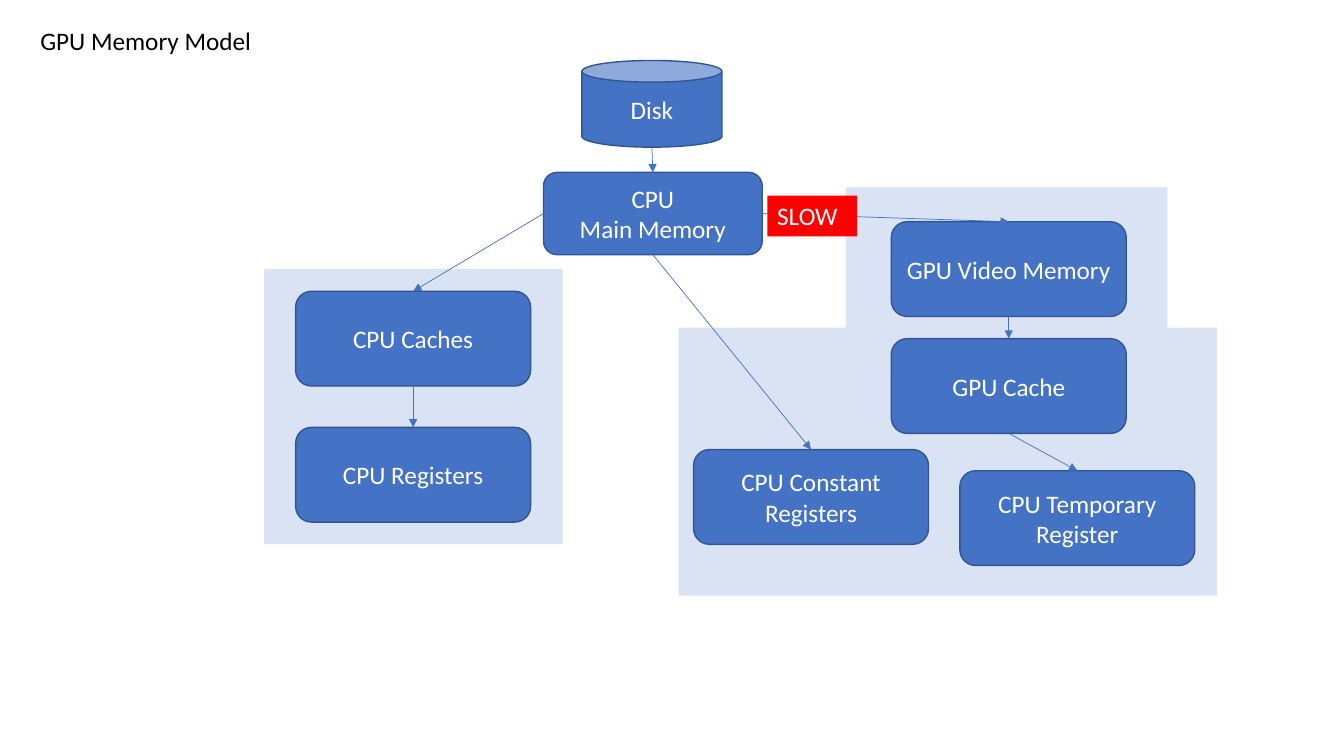
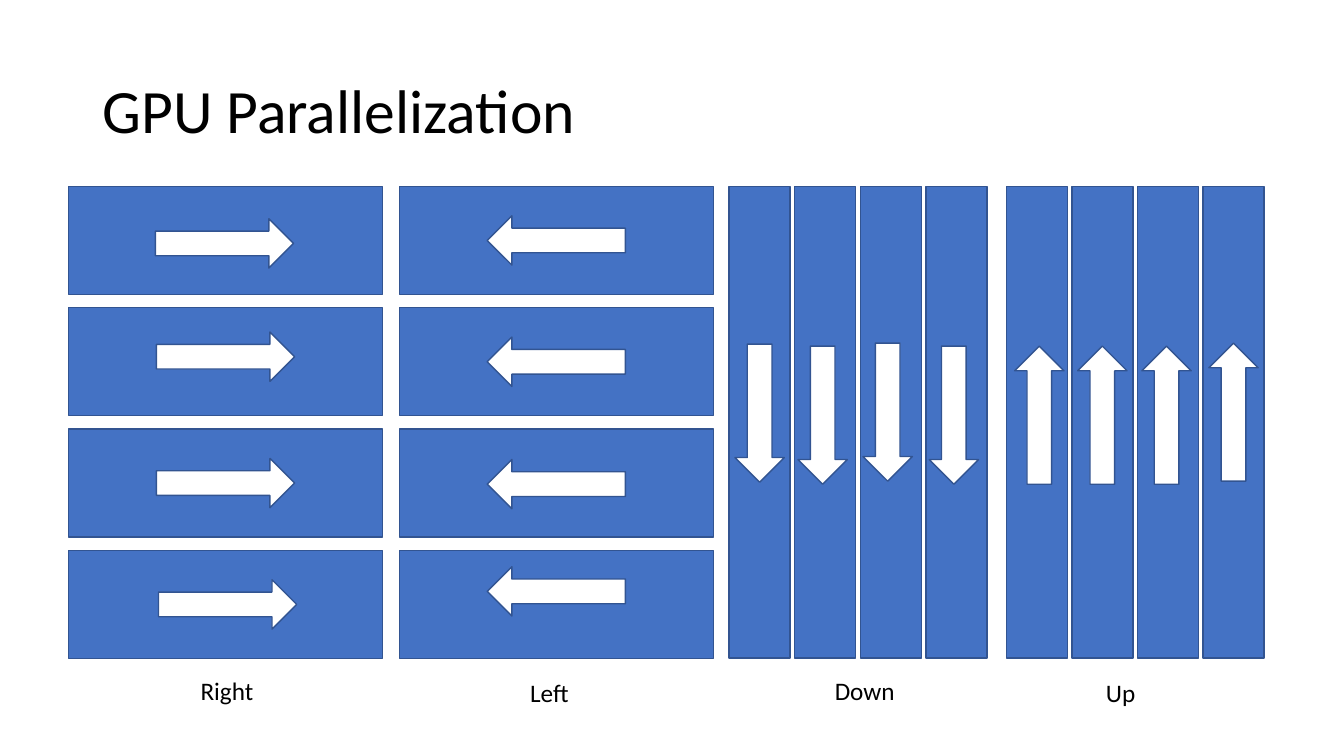
from dataclasses import dataclass

from lxml.etree import SubElement
from pptx import Presentation
from pptx.dml.color import RGBColor
from pptx.enum.shapes import MSO_CONNECTOR as Connector, MSO_SHAPE as Preset
from pptx.enum.text import MSO_ANCHOR as Anchor, MSO_AUTO_SIZE as AutoSize, PP_ALIGN as Align
from pptx.oxml.ns import qn
from pptx.util import Emu, Inches, Pt

# Shared style
FONT, BODY_SIZE, HEADING_SIZE = "Calibri", 18, 44
BLUE, EDGE, PANEL = "4472C4", "325491", "DAE3F3"
WHITE, BLACK, RED = "FFFFFF", "000000", "FF0000"
SLIDE_WIDTH, SLIDE_HEIGHT = Inches(13.33), Inches(7.5)
TOP, LEFT, BOTTOM, RIGHT = range(4)


@dataclass(frozen=True)
class Area:
    """A rectangle in percent of the slide's width and height."""
    left: float
    top: float
    width: float
    height: float

    def lengths(self) -> tuple[Emu, Emu, Emu, Emu]:
        return (across(self.left), down(self.top), across(self.width), down(self.height))


@dataclass(frozen=True)
class Node:
    name: str
    lines: tuple[str, ...]
    area: Area
    preset: Preset = Preset.ROUNDED_RECTANGLE


@dataclass(frozen=True)
class Link:
    start: str
    start_side: int
    end: str
    end_side: int = TOP


@dataclass(frozen=True)
class LaneGroup:
    label: str
    label_area: Area
    first_lane: Area
    step: tuple[float, float]
    rotation: int
    nudges: tuple[tuple[float, float], ...]  # arrow centre from lane centre


# Lengths and colours
def across(percent: float) -> Emu:
    return Emu(round(SLIDE_WIDTH * percent / 100))


def down(percent: float) -> Emu:
    return Emu(round(SLIDE_HEIGHT * percent / 100))


def colour(code: str) -> RGBColor:
    return RGBColor.from_string(code)


# Drawing helpers
def write(frame, lines: tuple[str, ...], ink: str, size: int = BODY_SIZE,
          align: Align = Align.LEFT, spacing: float = 1.0) -> None:
    for index, line in enumerate(lines):
        para = frame.paragraphs[0] if index == 0 else frame.add_paragraph()
        para.alignment, para.line_spacing = align, spacing
        span = para.add_run()
        span.text = line
        span.font.name, span.font.size = FONT, Pt(size)
        span.font.color.rgb = colour(ink)


def add_box(page, preset: Preset, area: Area, fill: str, edge: str | None = None):
    box = page.shapes.add_shape(preset, *area.lengths())
    box.shadow.inherit = False
    box.fill.solid()
    box.fill.fore_color.rgb = colour(fill)
    if edge:
        box.line.color.rgb = colour(edge)
        box.line.width = Pt(1)
    else:
        box.line.fill.background()
    return box


def add_label(page, text: str, area: Area) -> None:
    frame = page.shapes.add_textbox(*area.lengths()).text_frame
    frame.word_wrap = False
    frame.auto_size = AutoSize.SHAPE_TO_FIT_TEXT
    write(frame, (text,), BLACK)


def add_page(deck, title: str, area: Area, size: int, anchor: Anchor, spacing: float):
    page = deck.slides.add_slide(deck.slide_layouts[5])
    heading = page.shapes.title
    heading.left, heading.top, heading.width, heading.height = area.lengths()
    frame = heading.text_frame
    frame.word_wrap, frame.auto_size = True, AutoSize.NONE
    frame.vertical_anchor = anchor
    write(frame, (title,), BLACK, size, spacing=spacing)
    return page


def add_node(page, node: Node):
    box = add_box(page, node.preset, node.area, BLUE, EDGE)
    box.text_frame.word_wrap = True
    box.text_frame.vertical_anchor = Anchor.MIDDLE
    write(box.text_frame, node.lines, WHITE, align=Align.CENTER)
    return box


def add_arrow(page, start, start_side: int, end, end_side: int) -> None:
    line = page.shapes.add_connector(
        Connector.STRAIGHT, start.left + start.width // 2, start.top + start.height,
        end.left + end.width // 2, end.top)
    # A can numbers its connection sites differently, so that end stays free
    if start.auto_shape_type != Preset.CAN:
        line.begin_connect(start, start_side)
    line.end_connect(end, end_side)
    line.line.color.rgb = colour(BLUE)
    line.line.width = Pt(0.5)
    SubElement(line.line._get_or_add_ln(), qn("a:tailEnd"), type="triangle")
    SubElement(line._element.spPr, qn("a:effectLst"))


# Memory model
PANELS = (
    Area(50.49, 43.33, 40.06, 35.47),
    Area(62.94, 24.8, 23.93, 27.87),
    Area(19.65, 35.6, 22.21, 36.4),
)


def unit_area(left: float, top: float) -> Area:
    return Area(left, top, 17.48, 12.53)


NODES = (
    Node("disk", ("Disk",), Area(43.29, 8, 10.43, 11.47), Preset.CAN),
    Node("main", ("CPU", "Main Memory"), Area(40.44, 22.8, 16.28, 10.9)),
    Node("caches", ("CPU Caches",), unit_area(22, 38.53)),
    Node("registers", ("CPU Registers",), unit_area(22, 56.53)),
    Node("video", ("GPU Video Memory",), unit_area(66.32, 29.33)),
    Node("gpu cache", ("GPU Cache",), unit_area(66.32, 44.8)),
    Node("constant", ("CPU Constant Registers",), unit_area(51.61, 59.47)),
    Node("temporary", ("CPU Temporary Register",), unit_area(71.42, 62.27)),
)
LINKS = (
    Link("disk", BOTTOM, "main"),
    Link("main", LEFT, "caches"),
    Link("caches", BOTTOM, "registers"),
    Link("main", RIGHT, "video"),
    Link("video", BOTTOM, "gpu cache"),
    Link("gpu cache", BOTTOM, "temporary"),
    Link("main", BOTTOM, "constant"),
)


def build_memory_model(deck) -> None:
    page = add_page(deck, "GPU Memory Model", Area(2.25, 2.67, 20, 5.33),
                    BODY_SIZE, Anchor.TOP, 1.0)
    for panel in PANELS:
        add_box(page, Preset.RECTANGLE, panel, PANEL)
    boxes = {node.name: add_node(page, node) for node in NODES}
    for link in LINKS:
        add_arrow(page, boxes[link.start], link.start_side, boxes[link.end], link.end_side)
    warning = add_box(page, Preset.RECTANGLE, Area(57.09, 25.87, 6.68, 5.4), RED)
    warning.text_frame.word_wrap = True
    warning.text_frame.vertical_anchor = Anchor.TOP
    write(warning.text_frame, ("SLOW",), WHITE)


# Parallelization
LANE_TOP = 24.67
ARROW_WIDTH, ARROW_HEIGHT = 10.28, 6.53
ROW_STEP, COLUMN_STEP = (0, 16.05), (4.88, 0)


def row_lane(left: float) -> Area:
    return Area(left, LANE_TOP, 23.36, 14.27)


def column_lane(left: float) -> Area:
    return Area(left, LANE_TOP, 4.54, 62.35)


GROUPS = (
    LaneGroup("Right", Area(14.18, 88.67, 5.48, 5.33), row_lane(5.1), ROW_STEP, 0,
              ((-0.08, 0.4), (0, -0.67), (0, 0), (0.15, 0))),
    LaneGroup("Left", Area(38.71, 88.93, 4.43, 5.33), row_lane(29.71), ROW_STEP, 180,
              ((0, 0), (0, 0), (0, 0.13), (0, -1.73))),
    LaneGroup("Down", Area(61.37, 88.67, 6, 5.33), column_lane(54.25), COLUMN_STEP, 90,
              ((0, -1.2), (-0.19, -0.93), (-0.23, -1.33), (-0.19, -0.93))),
    LaneGroup("Up", Area(81.55, 88.93, 3.75, 5.33), column_lane(74.87), COLUMN_STEP, 270,
              ((0.19, -0.93), (0, -0.93), (-0.1, -0.93), (0, -1.33))),
)


def add_lanes(page, group: LaneGroup) -> None:
    first = group.first_lane
    for index, (shift_x, shift_y) in enumerate(group.nudges):
        lane = Area(first.left + index * group.step[0], first.top + index * group.step[1],
                    first.width, first.height)
        add_box(page, Preset.RECTANGLE, lane, BLUE, EDGE)
        arrow = add_box(page, Preset.RIGHT_ARROW, Area(
            lane.left + (lane.width - ARROW_WIDTH) / 2 + shift_x,
            lane.top + (lane.height - ARROW_HEIGHT) / 2 + shift_y,
            ARROW_WIDTH, ARROW_HEIGHT), WHITE, EDGE)
        arrow.rotation = group.rotation
    add_label(page, group.label, group.label_area)


def build_parallelization(deck) -> None:
    page = add_page(deck, "GPU Parallelization", Area(6.88, 5.33, 86.25, 19.33),
                    HEADING_SIZE, Anchor.MIDDLE, 0.9)
    for group in GROUPS:
        add_lanes(page, group)


def main() -> None:
    deck = Presentation()
    deck.slide_width, deck.slide_height = SLIDE_WIDTH, SLIDE_HEIGHT
    build_memory_model(deck)
    build_parallelization(deck)
    deck.save("out.pptx")


if __name__ == "__main__":
    main()
